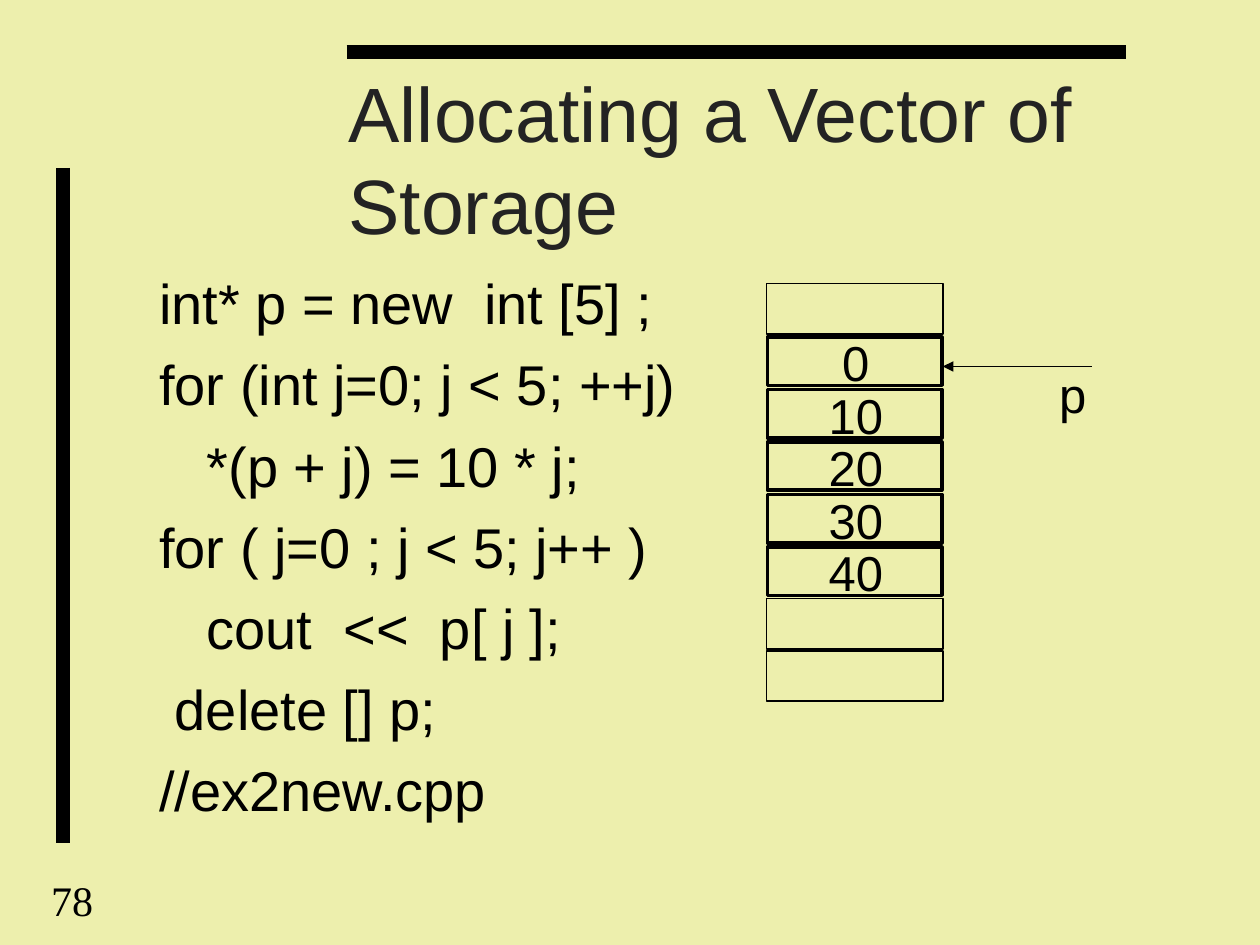
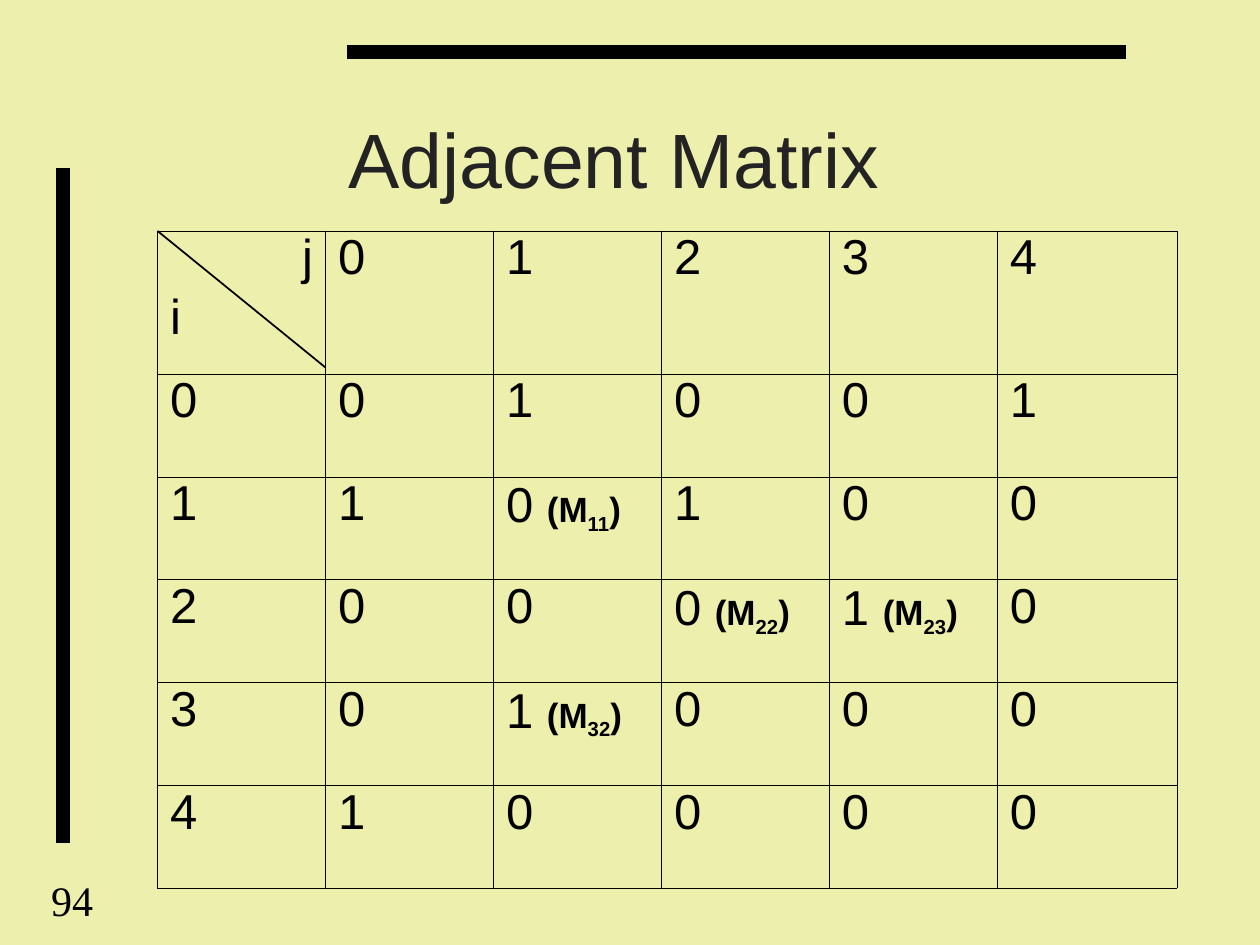
from lxml import etree
from pptx import Presentation
from pptx.dml.color import RGBColor
from pptx.enum.shapes import MSO_CONNECTOR, MSO_SHAPE
from pptx.enum.text import MSO_ANCHOR, MSO_AUTO_SIZE, PP_ALIGN
from pptx.oxml.ns import qn
from pptx.util import Inches, Pt

COLORS = {"page": "EDEFAD", "ink": "000000", "title": "232323"}
STRAIGHT = MSO_CONNECTOR.STRAIGHT
RECT = MSO_SHAPE.RECTANGLE
LEFT, CENTER, RIGHT = PP_ALIGN.LEFT, PP_ALIGN.CENTER, PP_ALIGN.RIGHT
MIDDLE = MSO_ANCHOR.MIDDLE
NO_FIT = MSO_AUTO_SIZE.NONE
COLS, ROWS = 120, 90


def rgb(name):
    return RGBColor.from_string(COLORS[name])


class Deck:
    def __init__(self):
        self.prs = Presentation()
        self.prs.slide_width, self.prs.slide_height = Inches(10), Inches(7.5)
        fill = self.prs.slide_master.background.fill
        fill.solid()
        fill.fore_color.rgb = rgb("page")
        self.s = None

    def x(self, col):
        return round(self.prs.slide_width * col / COLS)

    def y(self, row):
        return round(self.prs.slide_height * row / ROWS)

    def box(self, col, row, width, height):
        return self.x(col), self.y(row), self.x(width), self.y(height)

    def slide(self, title, number):
        self.s = self.prs.slides.add_slide(self.prs.slide_layouts[5])
        self.line(33, 5, 107.25, 5, 8)
        self.line(6, 16, 6, 80.25, 8)
        self.text(str(number), 3.7, 82.7, 19, 6, 24, font="Times New Roman")
        sp = self.s.shapes.title
        sp.left, sp.top, sp.width, sp.height = self.box(32, 9, 84.8, 12)
        tf = sp.text_frame
        tf.word_wrap, tf.auto_size, tf.vertical_anchor = True, NO_FIT, MIDDLE
        p = tf.paragraphs[0]
        p.alignment = LEFT
        self.run(p, title, 44, color="title")

    def run(self, p, text, size, font="Arial", color="ink", bold=False, baseline=0):
        r = p.add_run()
        r.text = text
        r.font.size, r.font.name, r.font.bold = Pt(size), font, bold
        r.font.color.rgb = rgb(color)
        if baseline:
            r.font._element.set("baseline", str(baseline * 1000))

    def text(self, text, col, row, width, height, size, font="Arial", align=LEFT):
        tf = self.s.shapes.add_textbox(*self.box(col, row, width, height)).text_frame
        tf.word_wrap = True
        p = tf.paragraphs[0]
        p.alignment = align
        self.run(p, text, size, font)

    def code(self, lines, col, row, width, height, size):
        tf = self.s.shapes.add_textbox(*self.box(col, row, width, height)).text_frame
        tf.word_wrap = True
        for i, (level, text) in enumerate(lines):
            p = tf.add_paragraph() if i else tf.paragraphs[0]
            p._p.get_or_add_pPr().set("marL", str(self.x(4.5) * level))
            if i:
                p.space_before = Pt(8)
            self.run(p, text, size)

    def rect(self, col, row, width, height, weight):
        sp = self.s.shapes.add_shape(RECT, *self.box(col, row, width, height))
        sp.shadow.inherit = False
        sp.fill.background()
        sp.line.color.rgb = rgb("ink")
        sp.line.width = Pt(weight)

    def line(self, col1, row1, col2, row2, weight, arrow=False):
        c = self.s.shapes.add_connector(
            STRAIGHT, self.x(col1), self.y(row1), self.x(col2), self.y(row2))
        c.line.color.rgb = rgb("ink")
        c.line.width = Pt(weight)
        if arrow:
            etree.SubElement(c.line._get_or_add_ln(), qn("a:tailEnd"), type="triangle")
        etree.SubElement(c._element.spPr, qn("a:effectLst"))

    def borders(self, cell, weight):
        tcPr = cell._tc.get_or_add_tcPr()
        for i, side in enumerate(("lnL", "lnR", "lnT", "lnB")):
            ln = etree.Element(qn(f"a:{side}"), w=str(Pt(weight)))
            fill = etree.SubElement(ln, qn("a:solidFill"))
            etree.SubElement(fill, qn("a:srgbClr"), val=COLORS["ink"])
            tcPr.insert(i, ln)

    def cell_paragraph(self, p, value, index=None, align=LEFT):
        p.alignment, p.line_spacing = align, 0.86
        self.run(p, f"{value} " if index else str(value), 28)
        if index:
            self.run(p, "(M", 20, bold=True)
            self.run(p, index, 20, bold=True, baseline=-25)
            self.run(p, ")", 20, bold=True)

    def table(self, values, labels, col, row, widths, heights):
        frame = self.s.shapes.add_table(
            len(heights), len(widths), *self.box(col, row, sum(widths), sum(heights)))
        table = frame.table
        table.first_row = table.horz_banding = False
        for column, width in zip(table.columns, widths):
            column.width = self.x(width)
        for line, height in zip(table.rows, heights):
            line.height = self.y(height)
        for i, line in enumerate(values):
            for j, value in enumerate(line):
                cell = table.cell(i, j)
                cell.fill.solid()
                cell.fill.fore_color.rgb = rgb("page")
                self.borders(cell, 0.11)
                if value is not None:
                    self.cell_paragraph(cell.text_frame.paragraphs[0], value,
                                        labels.get((i - 1, j - 1)))
        return table


def vector_slide(deck):
    deck.slide("Allocating a Vector of Storage", 78)
    deck.code([(0, "int* p = new  int [5] ;"),
               (0, "for (int j=0; j < 5; ++j)"),
               (1, "*(p + j) = 10 * j;"),
               (0, "for ( j=0 ; j < 5; j++ )"),
               (1, "cout  <<  p[ j ];"),
               (0, " delete [] p;"),
               (0, "//ex2new.cpp")], 14, 25, 59.5, 54, 32)
    memory = [None, 0, 10, 20, 30, 40, None, None]
    for i, value in enumerate(memory):
        row = 27 + 5 * i
        if value is None:
            deck.rect(73, row, 16.8, 4.8, 1)
        else:
            deck.rect(73.1, row + 0.1, 16.6, 4.6, 2)
            deck.text(str(value), 77.7, row - 0.9, 7.6, 6.7, 28, align=CENTER)
    deck.line(104, 34.9, 89.8, 34.9, 1, arrow=True)
    deck.text("p", 99.7, 34.1, 5, 6.7, 28)


def matrix_slide(deck):
    deck.slide("Adjacent Matrix", 94)
    matrix = [[0, 1, 0, 0, 1],
              [1, 0, 1, 0, 0],
              [0, 0, 0, 1, 0],
              [0, 1, 0, 0, 0],
              [1, 0, 0, 0, 0]]
    labels = {(i, j): f"{i}{j}" for i, j in ((1, 1), (2, 2), (2, 3), (3, 1))}
    labels[3, 1] = "32"
    values = [[None, *range(5)]] + [[i, *line] for i, line in enumerate(matrix)]
    table = deck.table(values, labels, 15, 22, [16] * 5 + [17.1], [13.6] + [9.8] * 5)
    tf = table.cell(0, 0).text_frame
    deck.cell_paragraph(tf.paragraphs[0], "j", align=RIGHT)
    p = tf.add_paragraph()
    p.space_before = Pt(7)
    deck.cell_paragraph(p, "i")
    deck.line(15, 22, 31, 35, 1)


def main():
    deck = Deck()
    vector_slide(deck)
    matrix_slide(deck)
    deck.prs.save("out.pptx")


if __name__ == "__main__":
    main()
